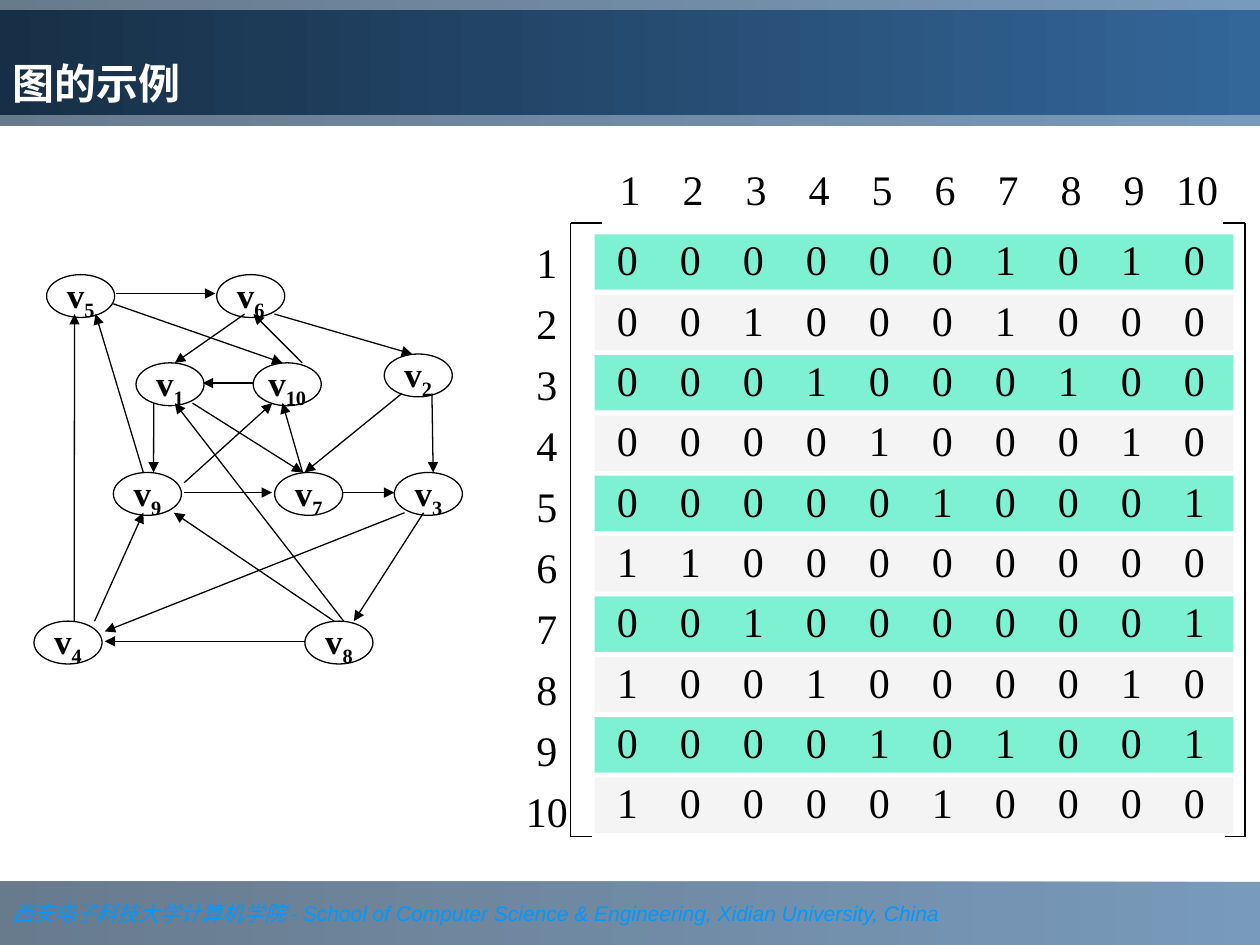
from lxml import etree
from pptx import Presentation
from pptx.dml.color import RGBColor
from pptx.enum.shapes import MSO_CONNECTOR, MSO_SHAPE
from pptx.enum.text import MSO_ANCHOR, PP_ALIGN
from pptx.oxml.ns import qn
from pptx.util import Inches, Pt

RECTANGLE, OVAL = MSO_SHAPE.RECTANGLE, MSO_SHAPE.OVAL
STRAIGHT = MSO_CONNECTOR.STRAIGHT
TOP, MIDDLE, BOTTOM = MSO_ANCHOR.TOP, MSO_ANCHOR.MIDDLE, MSO_ANCHOR.BOTTOM
LEFT, CENTER = PP_ALIGN.LEFT, PP_ALIGN.CENTER

BLACK = RGBColor(0x00, 0x00, 0x00)
WHITE = RGBColor(0xFF, 0xFF, 0xFF)
BLUE = RGBColor(0x33, 0x66, 0x99)
NAVY = RGBColor(0x17, 0x2F, 0x46)
BAND_NAVY = RGBColor(0x1B, 0x37, 0x53)
FOOTER_BLUE = RGBColor(0x00, 0x99, 0xFF)
MINT = RGBColor(0x00, 0xE4, 0xA8)
GRAY = RGBColor(0xEA, 0xEA, 0xEA)

COLUMNS, ROWS = 100, 75
CELL = 0.1
SERIF = "Times New Roman"
NUMBER = {"size": Pt(24), "name": SERIF}
NODE_TEXT = {"size": Pt(20), "name": SERIF, "bold": True}
TITLE_TEXT = {"size": Pt(24), "name": "Cabin", "bold": True}
FOOTER_TEXT = {"size": Pt(12), "italic": True}

NODE_WIDTH, NODE_HEIGHT = 5.4, 3.4
NODES = {
    3: (28.6, 15.7), 4: (0, 27.5), 2: (27.8, 6.3), 7: (19.1, 15.7), 1: (8.1, 7),
    9: (6.3, 15.7), 8: (21.5, 27.5), 5: (1, 0), 6: (14.5, 0), 10: (17.4, 7),
}
EDGES = [
    (3, (0.15, 0.94), 4, (1.04, 0.24)), (3, (0.43, 0.94), 8, (0.72, 0)),
    (4, (0.59, 0), 5, (0.41, 0.92)), (5, (1.02, 0.44), 6, (-0.02, 0.44)),
    (6, (0.41, 0.92), 1, (0.57, 0)), (4, (0.89, 0), 9, (0.44, 0.94)),
    (1, (0.26, 0.94), 9, (0.59, 0)), (1, (0.83, 0.94), 7, (0.41, 0)),
    (2, (0.26, 0.92), 7, (0.44, 0)), (2, (0.7, 0.92), 3, (0.57, 0)),
    (6, (0.85, 0.92), 2, (0.41, 0)), (7, (1, 0.47), 3, (0, 0.47)),
    (8, (0.43, 0), 9, (0.89, 0.94)), (8, (0, 0.47), 4, (1.04, 0.47)),
    (8, (0.57, 0), 1, (0.57, 0.94)), (9, (0.44, 0), 5, (0.72, 0.92)),
    (5, (0.98, 0.68), 10, (0.43, 0)), (9, (1.04, 0.24), 10, (0.28, 0.94)),
    (9, (1.04, 0.47), 7, (-0.04, 0.47)), (10, (0, 0.47), 1, (0.98, 0.47)),
    (7, (0.41, 0), 10, (0.43, 0.94)), (10, (0.72, 0), 6, (0.54, 0.92)),
]


def grid(*values):
    return [Inches(value * CELL) for value in values]


def set_alpha(fill_element, percent):
    for color in fill_element.iter(qn("a:srgbClr")):
        etree.SubElement(color, qn("a:alpha"), val=str(percent * 1000))


def gradient(shape, start, end):
    shape.fill.gradient()
    shape.fill.gradient_angle = 180
    for stop, position, color in zip(shape.fill.gradient_stops, (0, 1), (start, end)):
        stop.position = position
        stop.color.rgb = color


def add_box(slide, preset, box, color=None):
    shape = slide.shapes.add_shape(preset, *grid(*box))
    shape.shadow.inherit = False
    shape.line.fill.background()
    if color is not None:
        shape.fill.solid()
        shape.fill.fore_color.rgb = color
    return shape


def set_frame(shape, anchor, horizontal=0.0, vertical=0.0):
    formats = {
        "word_wrap": True, "vertical_anchor": anchor,
        "margin_left": Inches(horizontal), "margin_right": Inches(horizontal),
        "margin_top": Inches(vertical), "margin_bottom": Inches(vertical),
    }
    for name, value in formats.items():
        setattr(shape.text_frame, name, value)
    return shape.text_frame


def add_run(paragraph, text, formats, color=BLACK):
    run = paragraph.add_run()
    run.text = text
    for name, value in formats.items():
        setattr(run.font, name, value)
    run.font.color.rgb = color
    return run


def add_line(slide, start, end, arrow=False):
    line = slide.shapes.add_connector(STRAIGHT, *grid(*start, *end))
    line.line.color.rgb = BLACK
    line.line.width = Pt(0.75)
    if arrow:
        etree.SubElement(line.line._get_or_add_ln(), qn("a:tailEnd"), type="triangle")
    etree.SubElement(line._element.spPr, qn("a:effectLst"))


def add_band(slide, box):
    band = add_box(slide, RECTANGLE, box)
    gradient(band, BLUE, BAND_NAVY)
    set_alpha(band._element.spPr, 66)
    return band


def add_header(slide, box):
    left, top, width, height = box
    add_band(slide, box)
    title = slide.shapes.title
    title.left, title.top, title.width, title.height = grid(
        left, top + 0.08 * height, width, 0.83 * height)
    gradient(title, BLUE, NAVY)
    paragraph = set_frame(title, BOTTOM, 0.1, 0.05).paragraphs[0]
    paragraph.alignment = LEFT
    add_run(paragraph, "图的示例", TITLE_TEXT, WHITE)
    slide.shapes._spTree.append(title._element)


def add_footer(slide, box):
    band = add_band(slide, box)
    paragraph = set_frame(band, MIDDLE, 0.1, 0.05).paragraphs[0]
    paragraph.alignment = LEFT
    parts = [("西安电子科技大学计算机学院 ", SERIF),
             ("- School of Computer Science & Engineering, Xidian University, China", "Arial")]
    for text, font in parts:
        add_run(paragraph, text, {**FOOTER_TEXT, "name": font}, FOOTER_BLUE)


def write_columns(shape, values, first_stop):
    paragraph = set_frame(shape, MIDDLE).paragraphs[0]
    paragraph.alignment = LEFT
    paragraph.line_spacing = 0.9
    tabs = etree.SubElement(paragraph._p.get_or_add_pPr(), qn("a:tabLst"))
    for index in range(len(values)):
        position = Inches((first_stop + 5 * index) * CELL)
        etree.SubElement(tabs, qn("a:tab"), pos=str(position), algn="ctr")
    add_run(paragraph, "".join(f"\t{value}" for value in values), NUMBER)


def add_matrix(slide, box):
    left, top, width, height = box
    numbers = range(1, 11)
    links = {(source, target) for source, _, target, _ in EDGES}
    for index, source in enumerate(numbers):
        row = add_box(slide, RECTANGLE, (left + 5.9, top + 5 + 4.79 * index, 50.7, 4.4),
                      GRAY if index % 2 else MINT)
        set_alpha(row._element.spPr, 50)
        write_columns(row, [int((source, target) in links) for target in numbers], 2.6)

    heading = slide.shapes.add_textbox(*grid(left + 7.5, top, 48.5, 3.3))
    write_columns(heading, numbers, 1.2)
    labels = slide.shapes.add_textbox(*grid(left, top + 4.1, 4.2, 49.7))
    frame = set_frame(labels, MIDDLE)
    for number in numbers:
        paragraph = frame.paragraphs[0] if number == 1 else frame.add_paragraph()
        paragraph.alignment = CENTER
        if number > 1:
            paragraph.space_before = Pt(6)
        add_run(paragraph, str(number), NUMBER)

    bracket_top, bottom = top + 4.1, top + height
    for x, upper_arm, lower_arm in ((left + 4, 2.5, 1.7), (left + width, -1.7, -1.6)):
        add_line(slide, (x, bracket_top), (x, bottom))
        add_line(slide, (x, bracket_top), (x + upper_arm, bracket_top))
        add_line(slide, (x, bottom), (x + lower_arm, bottom))


def add_graph(slide, box):
    left, top = box[:2]

    def point(node, share):
        x, y = NODES[node]
        return left + x + share[0] * NODE_WIDTH, top + y + share[1] * NODE_HEIGHT

    for node in NODES:
        oval = add_box(slide, OVAL, (*point(node, (0, 0)), NODE_WIDTH, NODE_HEIGHT), WHITE)
        oval.line.color.rgb = BLACK
        oval.line.width = Pt(0.75)
        paragraph = set_frame(oval, TOP).paragraphs[0]
        paragraph.alignment = CENTER
        paragraph.line_spacing = 0.72
        add_run(paragraph, "v", NODE_TEXT)
        subscript = add_run(paragraph, str(node), NODE_TEXT)
        subscript.font._element.set("baseline", "-25000")
    for source, start, target, end in EDGES:
        add_line(slide, point(source, start), point(target, end), arrow=True)


def main():
    presentation = Presentation()
    presentation.slide_width, presentation.slide_height = grid(COLUMNS, ROWS)
    slide = presentation.slides.add_slide(presentation.slide_layouts[5])
    add_footer(slide, (0, 70, COLUMNS, 5))
    add_header(slide, (0, 0, COLUMNS, 10))
    add_matrix(slide, (41.3, 13.6, 57.5, 52.8))
    add_graph(slide, (2.7, 21.8, 34, 30.9))
    presentation.save("out.pptx")


if __name__ == "__main__":
    main()
